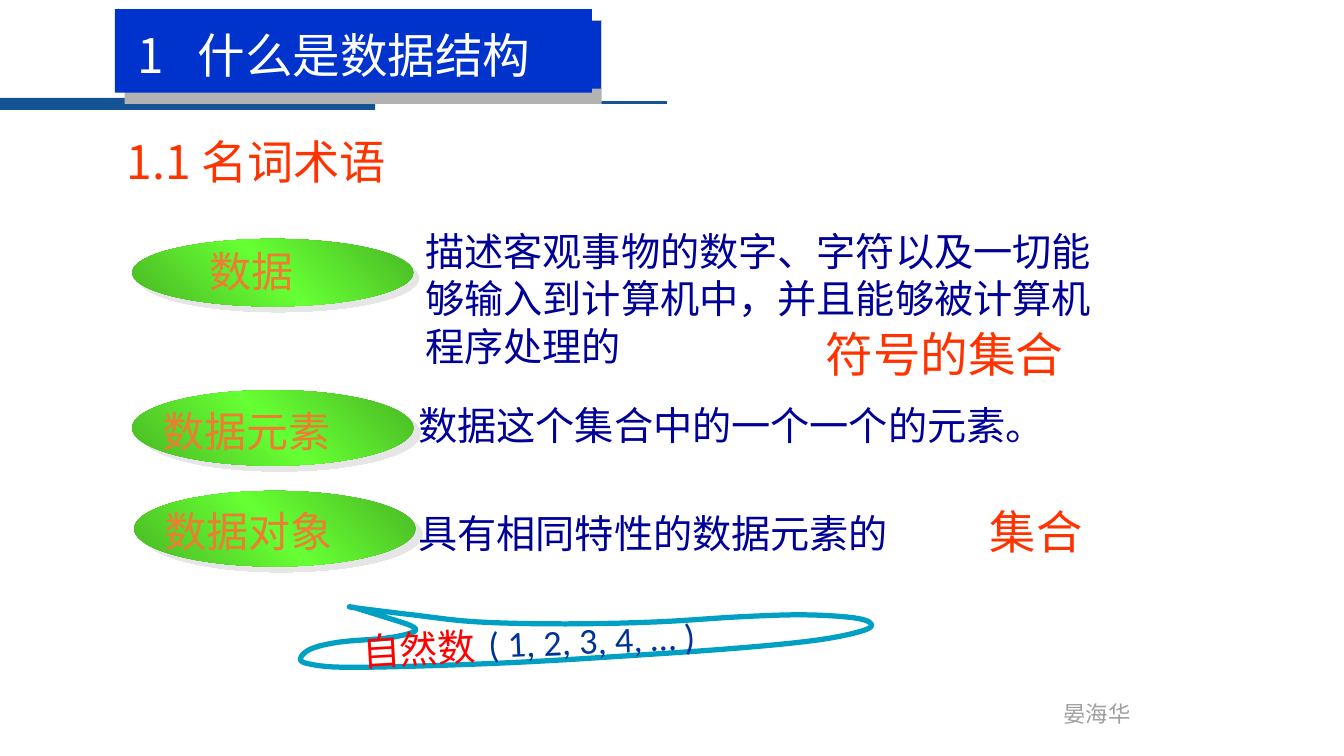
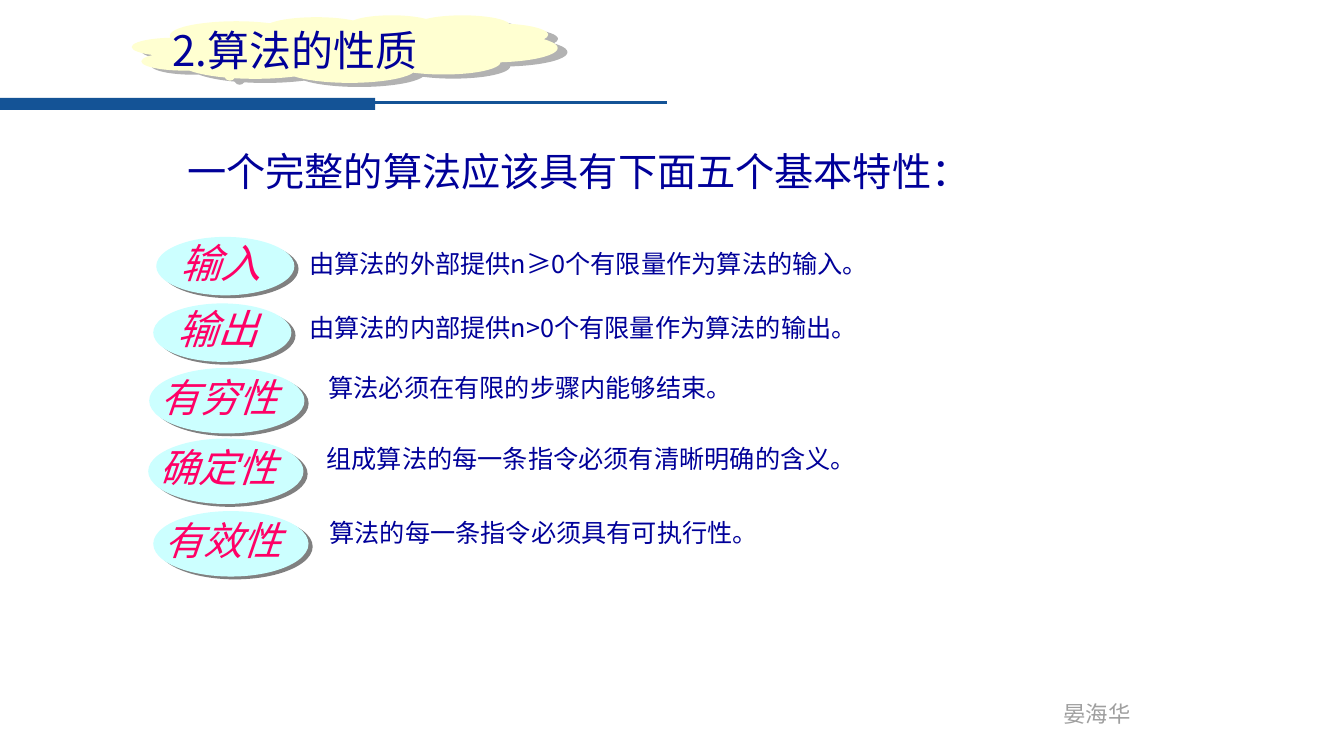
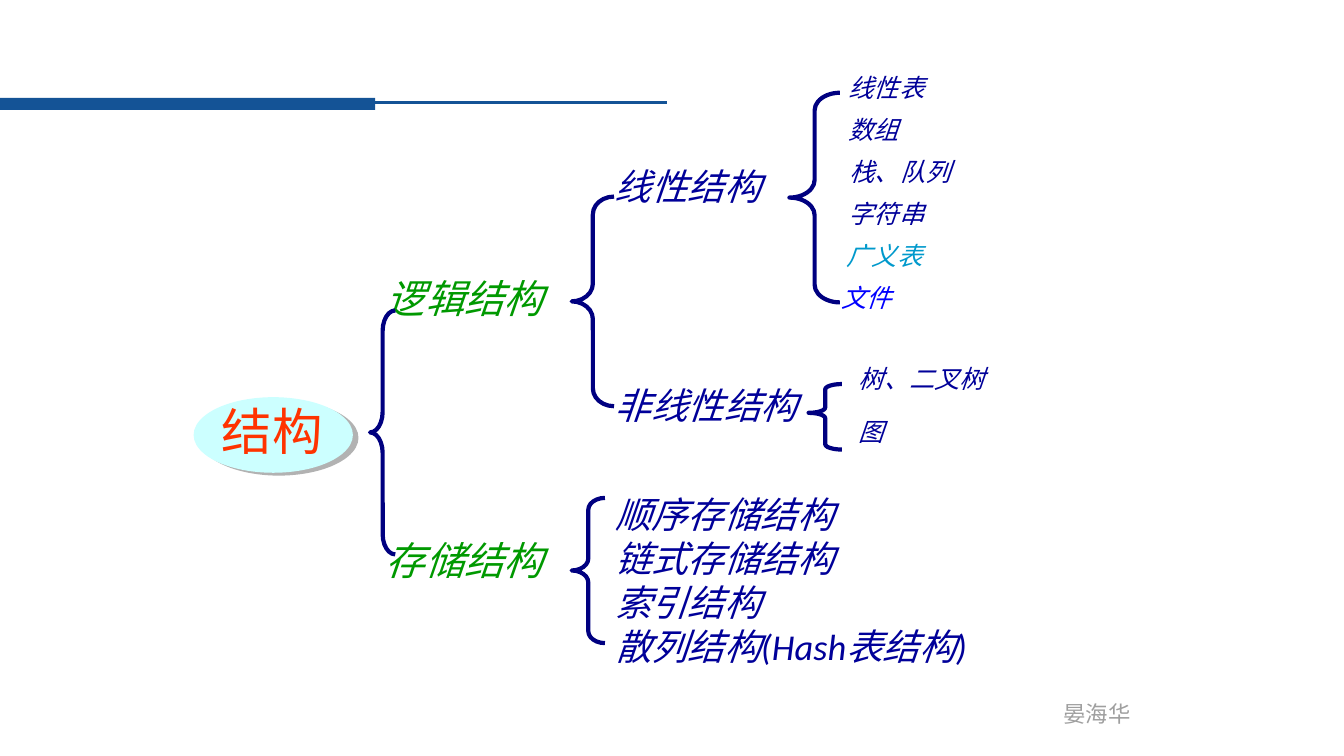
"""Build three lecture slides about data structures and algorithms."""
from lxml import etree
from pptx import Presentation
from pptx import util as u
from pptx.dml.color import RGBColor
from pptx.enum import shapes, text
from pptx.oxml import parse_xml
from pptx.oxml.ns import nsdecls, qn

NOTO, CALIBRI = "Noto Sans CJK SC", "Calibri"
NAVY = RGBColor(0x00, 0x00, 0x99)
BRACE = RGBColor(0x00, 0x00, 0x80)
STEEL = RGBColor(0x14, 0x53, 0x96)
ROYAL = RGBColor(0x00, 0x33, 0xCC)
INK = RGBColor(0x00, 0x33, 0x99)
BLUE = RGBColor(0x00, 0x00, 0xFF)
SKY = RGBColor(0x00, 0x99, 0xCC)
TEAL = RGBColor(0x00, 0x9F, 0xC4)
ORANGE = RGBColor(0xED, 0x7D, 0x31)
VERMILION = RGBColor(0xFF, 0x33, 0x00)
RED = RGBColor(0xFF, 0x00, 0x00)
PINK = RGBColor(0xFF, 0x00, 0x66)
GREEN = RGBColor(0x00, 0x99, 0x00)
DARK_GREEN = RGBColor(0x49, 0xB6, 0x24)
LIME = RGBColor(0x66, 0xFF, 0x33)
CYAN = RGBColor(0xCC, 0xFF, 0xFF)
CREAM = RGBColor(0xFF, 0xFF, 0xD1)
WHITE = RGBColor(0xFF, 0xFF, 0xFF)
BLACK = RGBColor(0x00, 0x00, 0x00)
PALE_GRAY = RGBColor(0xE7, 0xE6, 0xE6)
LIGHT_GRAY = RGBColor(0xB2, 0xB2, 0xB2)
FOOTER_GRAY = RGBColor(0x9F, 0x9F, 0x9F)
GRAY = RGBColor(0x80, 0x80, 0x80)

AUTHOR = "晏海华"
TERMS = [
    ("数据", (1.31, 2.37, 2.79, 0.67), (1.98, 2.39), NOTO, (5.7, 45)),
    ("数据元素", (1.31, 3.87, 2.79, 0.75), (1.51, 3.97), CALIBRI, (6.4, 39)),
    ("数据对象", (1.33, 4.87, 2.79, 0.75), (1.53, 4.97), CALIBRI, (6.4, 39)),
]
DEFINITIONS = [
    ("描述客观事物的数字、字符以及一切能够输入到计算机中，并且能够被计算机程序处理的",
     (4.12, 2.21, 6.96, 1.51), 28, NAVY),
    ("符号的集合", (8.09, 3.17, 2.96, 0.67), 34, VERMILION),
    ("数据这个集合中的一个一个的元素。", (4.05, 3.93, 8.69, 0.57), 28, NAVY),
    ("具有相同特性的数据元素的", (4.05, 5, 5.11, 0.57), 28, NAVY),
    ("集合", (9.72, 4.94, 1.87, 0.65), 33, VERMILION),
]
BUBBLE = [
    (2.98, 6.54), (3.08, 6.59), (3.39, 6.62), (4.1, 6.61), (5.16, 6.57),
    (6.17, 6.51), (7.32, 6.43), (8.11, 6.35), (8.55, 6.26), (8.64, 6.19),
    (8.47, 6.13), (7.97, 6.1), (7.33, 6.12), (6.52, 6.17), (5.61, 6.19),
    (4.73, 6.17), (4.09, 6.1), (3.52, 6.03), (3.52, 6.03), (3.81, 6.12),
    (4.08, 6.21), (4.1, 6.27), (3.84, 6.33), (3.37, 6.37), (3.08, 6.44),
]
PROPERTIES = [
    ("输入", 1.55, 2.35, "由算法的外部提供n≥0个有限量作为算法的输入。", 2.97, 2.41),
    ("输出", 1.52, 3.01, "由算法的内部提供n>0个有限量作为算法的输出。", 2.97, 3.05),
    ("有穷性", 1.48, 3.65, "算法必须在有限的步骤内能够结束。", 3.16, 3.64),
    ("确定性", 1.47, 4.35, "组成算法的每一条指令必须有清晰明确的含义。", 3.14, 4.35),
    ("有效性", 1.52, 5.07, "算法的每一条指令必须具有可执行性。", 3.17, 5.08),
]
BRANCHES = [
    ("逻辑结构", 3.73, 2.67, 28, GREEN, GRAY),
    ("存储结构", 3.73, 5.27, 28, GREEN, GRAY),
    ("线性结构", 6, 1.58, 26, NAVY, GRAY),
    ("非线性结构", 6, 3.75, 26, NAVY, GRAY),
]
LINEAR = [
    ("线性表", 8.32, NAVY, None), ("数组", 8.32, NAVY, None),
    ("栈、队列", 8.33, NAVY, None), ("字符串", 8.32, NAVY, GRAY),
    ("广义表", 8.3, SKY, None), ("文件", 8.25, BLUE, None),
]
NONLINEAR = ["树、二叉树", "图"]
STORAGE = ["顺序存储结构", "链式存储结构", "索引结构", "散列结构(Hash表结构)"]
BRACES = [
    ((3.67, 3.08, 0.25, 2.42), 0.81, 0.5),
    ((5.67, 1.95, 0.42, 2.08), 0.42, 0.5),
    ((7.83, 0.92, 0.5, 2.08), 0.35, 0.5),
    ((8.02, 3.81, 0.33, 0.65), 0.16, 0.44),
    ((5.67, 4.94, 0.33, 1.44), 0.36, 0.5),
]


def inches(values):
    return [u.Inches(value) for value in values]


def add_shadow(effects, color, distance, angle):
    shadow = etree.SubElement(effects, qn("a:outerShdw"), dist=str(u.Pt(distance)),
                              dir=str(angle * 60000), algn="ctr", rotWithShape="0")
    etree.SubElement(shadow, qn("a:srgbClr"), val=str(color))


def write(shape, lines, size, color, font=NOTO, italic=False, glow=None):
    frame = shape.text_frame
    frame.text = "\n".join(lines)
    frame.word_wrap = True
    frame.auto_size = text.MSO_AUTO_SIZE.NONE
    frame.vertical_anchor = text.MSO_ANCHOR.TOP
    for paragraph in frame.paragraphs:
        paragraph.alignment = text.PP_ALIGN.LEFT
        for run in paragraph.runs:
            run.font.size, run.font.italic = u.Pt(size), italic
            run.font.name, run.font.color.rgb = font, color
    for properties in shape.element.iter(qn("a:rPr")):
        etree.SubElement(properties, qn("a:ea"), typeface=NOTO)
        if glow is not None:
            effects = etree.Element(qn("a:effectLst"))
            add_shadow(effects, glow, 2, 45)
            properties.find(qn("a:solidFill")).addnext(effects)
    return shape


def add_label(slide, line, box, size, color, **style):
    shape = slide.shapes.add_textbox(*inches(box))
    return write(shape, [line], size, color, **style)


def place(shape, box):
    shape.left, shape.top, shape.width, shape.height = inches(box)
    tree = shape.element.getparent()
    tree.append(shape.element)
    return shape


def add_figure(slide, kind, box, fill=None, shadow=None):
    shape = slide.shapes.add_shape(kind, *inches(box))
    shape.shadow.inherit = False
    shape.line.fill.background()
    if fill is None:
        shape.fill.background()
    else:
        shape.fill.solid()
        shape.fill.fore_color.rgb = fill
    if shadow:
        add_shadow(shape.element.spPr.find(qn("a:effectLst")), *shadow)
    return shape


def fill_gradient(shape):
    stops = "".join(f'<a:gs pos="{share}"><a:srgbClr val="{color}"/></a:gs>' for share, color in
                    ((0, DARK_GREEN), (50000, LIME), (100000, DARK_GREEN)))
    gradient = parse_xml(f'<a:gradFill {nsdecls("a")} rotWithShape="1"><a:gsLst>{stops}</a:gsLst>'
                         '<a:lin ang="18900000" scaled="1"/></a:gradFill>')
    solid = shape.element.spPr.find(qn("a:solidFill"))
    solid.getparent().replace(solid, gradient)


def smooth_outline(anchors, steps=5):
    count = len(anchors)
    for index in range(count):
        around = [anchors[(index + offset) % count] for offset in (-1, 0, 1, 2)]
        for step in range(steps):
            t = step / steps
            yield tuple(
                u.Inches(0.5 * (2 * b + (c - a) * t + (2 * a - 5 * b + 4 * c - d) * t ** 2
                                + (3 * b - a - 3 * c + d) * t ** 3))
                for a, b, c, d in zip(*around))


def decorate_master(presentation, slide):
    band = add_figure(slide, shapes.MSO_SHAPE.RECTANGLE, (0, 0.97, 3.72, 0.12), STEEL)
    rule = slide.shapes.add_connector(shapes.MSO_CONNECTOR.STRAIGHT,
                                      *inches((3.68, 1.02, 6.62, 1.02)))
    rule.line.color.rgb, rule.line.width = STEEL, u.Pt(2.25)
    etree.SubElement(rule.element.spPr, qn("a:effectLst"))
    author = add_label(slide, AUTHOR, (10.45, 6.9, 0.88, 0.37), 16, FOOTER_GRAY, font=CALIBRI)
    author.text_frame.word_wrap = False
    tree = presentation.slide_master.element.cSld.spTree
    for shape in (band, rule, author):
        tree.append(shape.element)


def build_terms(slide):
    add_label(slide, "1.1 名词术语", (1.16, 1.27, 4.49, 0.66), 33, VERMILION)
    for term, oval, (left, top), font, (distance, angle) in TERMS:
        fill_gradient(add_figure(slide, shapes.MSO_SHAPE.OVAL, oval, LIME,
                                 (PALE_GRAY, distance, angle)))
        add_label(slide, term, (left, top, 2.4, 0.6), 30, ORANGE, font=font)
    for line, box, size, color in DEFINITIONS:
        add_label(slide, line, box, size, color)

    add_figure(slide, shapes.MSO_SHAPE.RECTANGLE, (1.14, 0.09, 4.73, 0.83), ROYAL,
               (LIGHT_GRAY, 10.6, 49))
    title = place(slide.shapes.title, (1.16, 0.21, 4.8, 0.67))
    title.fill.solid()
    title.fill.fore_color.rgb = ROYAL
    write(title, ["1\t什么是数据结构"], 34, WHITE)
    title.text_frame.margin_left = u.Inches(0.2)
    tabs = etree.SubElement(title.element.find(".//" + qn("a:pPr")), qn("a:tabLst"))
    etree.SubElement(tabs, qn("a:tab"), pos=str(u.Inches(0.6)), algn="l")

    start, *rest = smooth_outline(BUBBLE)
    builder = slide.shapes.build_freeform(*start, scale=1.0)
    builder.add_line_segments(rest, close=True)
    bubble = builder.convert_to_shape()
    bubble.shadow.inherit = False
    bubble.fill.background()
    bubble.line.color.rgb, bubble.line.width = TEAL, u.Pt(3.75)
    numbers = add_label(slide, "自然数", (3.5, 6.19, 2.75, 0.71), 27, RED,
                        font=CALIBRI, glow=BLACK)
    examples = add_label(slide, "( 1, 2, 3, 4, … )", (4.75, 6.14, 2.6, 0.74), 26, INK,
                         font=CALIBRI)
    for shape, rotation in ((numbers, 356.8), (examples, 357.5)):
        shape.rotation = rotation
        shape.text_frame.paragraphs[0].line_spacing = 0.85


def build_properties(slide):
    cloud = add_figure(slide, shapes.MSO_SHAPE.CLOUD_CALLOUT, (1.31, 0.15, 4.22, 0.67), CREAM,
                       (LIGHT_GRAY, 7.6, 23))
    cloud.adjustments[0], cloud.adjustments[1] = -0.23, 0.33
    write(place(slide.shapes.title, (1.61, 0.19, 3.96, 0.6)), ["2.算法的性质"], 30, NAVY)
    add_label(slide, "一个完整的算法应该具有下面五个基本特性：", (1.76, 1.41, 8.74, 0.57), 28, NAVY)
    for name, left, top, meaning, meaning_left, meaning_top in PROPERTIES:
        short = len(name) == 2
        width, height = (1.37, 0.58) if short else (1.54, 0.65)
        shift, rise, size = (0.14, 0.04, 29) if short else (0.01, 0, 28)
        add_figure(slide, shapes.MSO_SHAPE.OVAL, (left, top, width, height), CYAN,
                   (GRAY, 3.6, 34))
        add_label(slide, name, (left + shift, top - rise, 1.42, 0.58), size, PINK,
                  font=CALIBRI, italic=True)
        add_label(slide, meaning, (meaning_left, meaning_top, 7.5, 0.44), 18, NAVY)


def build_structures(slide):
    title = slide.shapes.title.element
    title.getparent().remove(title)
    slanted = {"font": CALIBRI, "italic": True}
    for name, left, top, size, color, glow in BRANCHES:
        add_label(slide, name, (left, top, 2.33, 0.57), size, color, glow=glow, **slanted)
    for row, (name, left, color, glow) in enumerate(LINEAR):
        add_label(slide, name, (left, 0.67 + row * 2.08 / 5, 2.33, 0.44), 18, color,
                  glow=glow, **slanted)
    for row, name in enumerate(NONLINEAR):
        add_label(slide, name, (8.42, 3.56 + row * 0.52, 2.5, 0.44), 18, NAVY, **slanted)

    storage = place(slide.placeholders[1], (6, 4.83, 4.17, 1.85))
    write(storage, STORAGE, 26, NAVY, **slanted)
    for paragraph in storage.text_frame.paragraphs:
        paragraph.line_spacing, paragraph.space_before = u.Pt(31.5), u.Pt(0)
    for properties in storage.element.iter(qn("a:pPr")):
        properties.set("marL", "0")
        properties.set("indent", "0")
        etree.SubElement(properties, qn("a:buNone"))

    for box, curl, tip in BRACES:
        brace = add_figure(slide, shapes.MSO_SHAPE.LEFT_BRACE, box)
        brace.adjustments[0], brace.adjustments[1] = curl, tip
        brace.line.color.rgb, brace.line.width = BRACE, u.Pt(3)
    add_figure(slide, shapes.MSO_SHAPE.OVAL, (1.92, 3.94, 1.58, 0.75), CYAN,
               (LIGHT_GRAY, 4.5, 27))
    add_label(slide, "结构", (2.1, 3.92, 1.42, 0.7), 36, VERMILION, font=CALIBRI, glow=BLACK)


def main():
    presentation = Presentation()
    presentation.slide_width, presentation.slide_height = inches((13.33, 7.5))
    title_only, title_and_body = presentation.slide_layouts[5], presentation.slide_layouts[1]
    pages = [(title_only, build_terms), (title_only, build_properties),
             (title_and_body, build_structures)]
    for number, (layout, build) in enumerate(pages):
        slide = presentation.slides.add_slide(layout)
        if number == 0:
            decorate_master(presentation, slide)
        build(slide)
    presentation.save("out.pptx")


if __name__ == "__main__":
    main()
